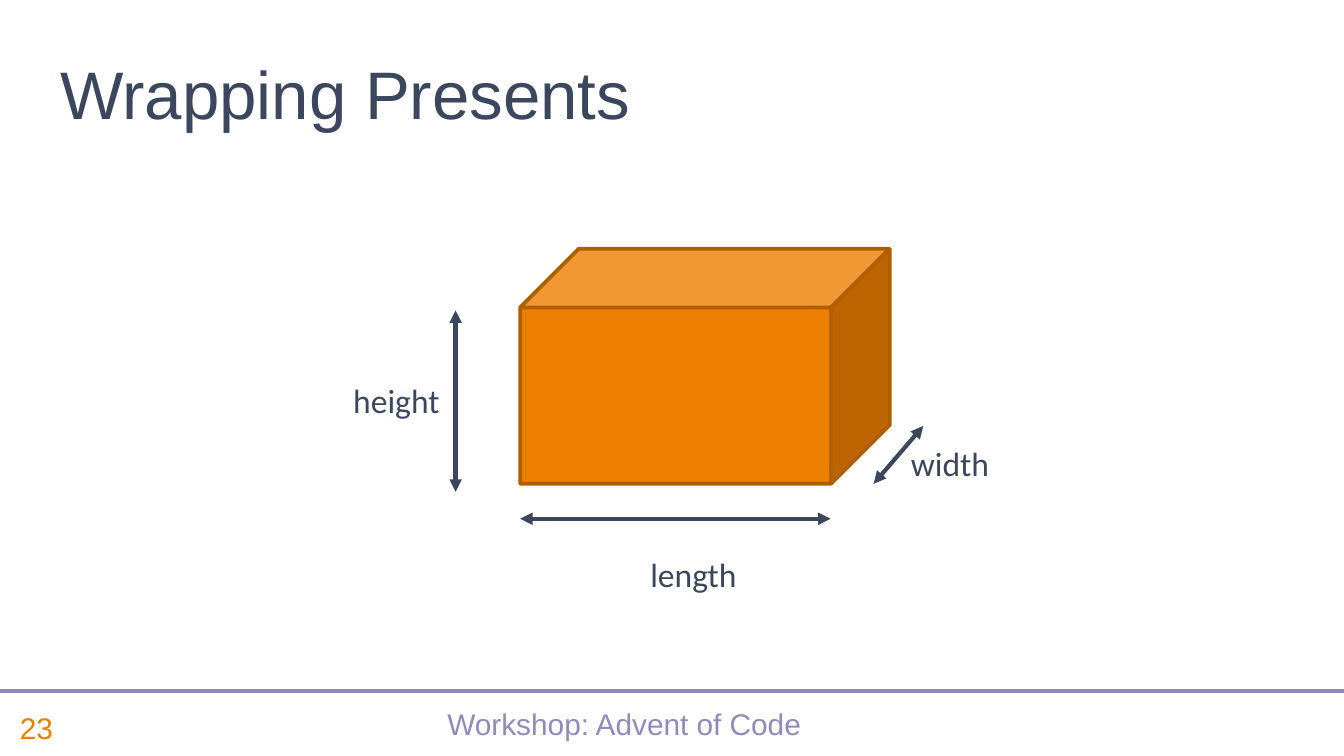
from dataclasses import dataclass

from lxml import etree
from pptx import Presentation
from pptx.dml.color import RGBColor
from pptx.enum import shapes, text
from pptx.oxml import ns
from pptx.util import Inches, Pt


@dataclass(frozen=True)
class Theme:
    navy: RGBColor = RGBColor.from_string("3B475E")
    orange: RGBColor = RGBColor.from_string("ED7F00")
    brown: RGBColor = RGBColor.from_string("AF5E00")
    lilac: RGBColor = RGBColor.from_string("928ABD")
    title: Pt = Pt(36)
    label: Pt = Pt(18)
    footer: Pt = Pt(16)
    rule: Pt = Pt(2.25)
    edge: Pt = Pt(2)


theme = Theme()
MIDDLE = text.MSO_ANCHOR.MIDDLE
LEFT, CENTER = text.PP_ALIGN.LEFT, text.PP_ALIGN.CENTER

deck = Presentation()
deck.slide_width = Inches(10)
deck.slide_height = deck.slide_width * 9 // 16
slide = deck.slides.add_slide(deck.slide_layouts[6])


def add_text(words, box, font, frame, align=LEFT, spacing=None):
    """Place one line of text; font and frame are dicts of attributes."""
    text_frame = slide.shapes.add_textbox(*map(Inches, box)).text_frame
    for name, value in frame.items():
        setattr(text_frame, name, value)
    line = text_frame.paragraphs[0]
    line.text, line.alignment, line.line_spacing = words, align, spacing
    run_font = line.runs[0].font
    run_font.color.rgb = font["color"]
    run_font.name, run_font.size = font["name"], font["size"]


def add_line(start, end, color, double_headed=False):
    line = slide.shapes.add_connector(
        shapes.MSO_CONNECTOR.STRAIGHT, *map(Inches, (*start, *end)))
    line.line.color.rgb, line.line.width = color, theme.rule
    properties = line._element.spPr
    if double_headed:
        for end_tag in ("a:headEnd", "a:tailEnd"):
            etree.SubElement(properties.find(ns.qn("a:ln")),
                             ns.qn(end_tag), type="triangle")
    etree.SubElement(properties, ns.qn("a:effectLst"))


# Footer
for words, box, color, align, spacing in (
    ("Workshop: Advent of Code", (0.78, 5.19, 7.73, 0.44), theme.lilac, CENTER, 0.8),
    ("23", (0.05, 5.19, 0.73, 0.44), theme.orange, LEFT, None),
):
    add_text(words, box, dict(name="Arial", size=theme.footer, color=color),
             dict(word_wrap=True, vertical_anchor=MIDDLE), align, spacing)
add_line((0, 5.14), (10, 5.14), theme.lilac)

# Title
add_text("Wrapping Presents", (0.35, 0.29, 7.66, 0.75),
         dict(name="Arial", size=theme.title, color=theme.navy),
         dict(word_wrap=True, vertical_anchor=text.MSO_ANCHOR.BOTTOM))

# Present
present = slide.shapes.add_shape(
    shapes.MSO_SHAPE.CUBE, *map(Inches, (3.87, 1.85, 2.75, 1.75)))
present.shadow.inherit = False
present.fill.solid()
present.fill.fore_color.rgb = theme.orange
present.line.color.rgb, present.line.width = theme.brown, theme.edge

# Dimensions: arrow and label for each
for words, start, end, box in (
    ("height", (3.39, 2.31), (3.39, 3.66), (2.53, 2.78, 0.91, 0.4)),
    ("length", (6.18, 3.86), (3.87, 3.86), (4.74, 4.07, 0.9, 0.4)),
    ("width", (6.87, 3.17), (6.5, 3.6), (6.68, 3.25, 0.8, 0.4)),
):
    add_line(start, end, theme.navy, double_headed=True)
    add_text(words, box, dict(name="Calibri", size=theme.label, color=theme.navy),
             dict(word_wrap=False, auto_size=text.MSO_AUTO_SIZE.SHAPE_TO_FIT_TEXT))

deck.save("out.pptx")
